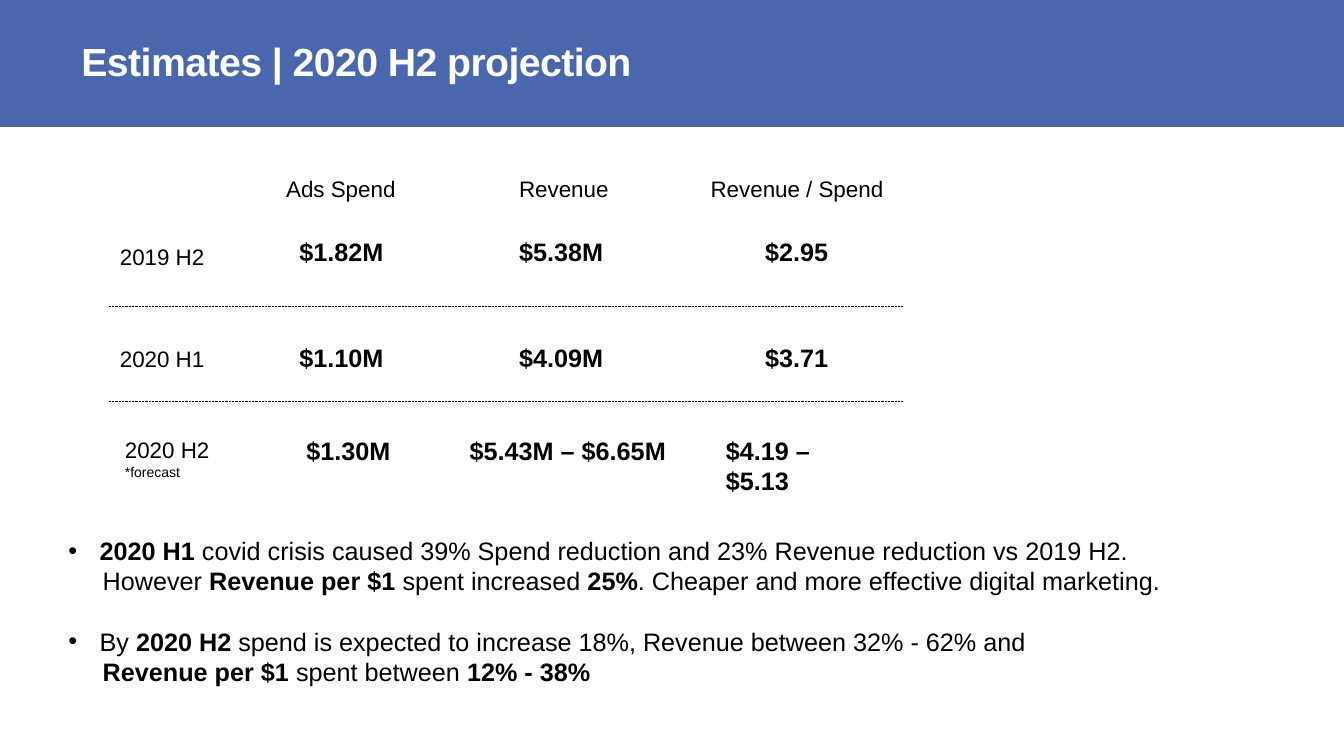
from lxml import etree
from pptx import Presentation, util as u
from pptx.dml.color import RGBColor
from pptx.enum import dml, shapes, text
from pptx.oxml.ns import qn

BLUE = RGBColor(0x4A, 0x66, 0xAC)
WHITE = RGBColor(0xFF, 0xFF, 0xFF)
BLACK = RGBColor(0x00, 0x00, 0x00)

# Table grid in inches: column lefts and widths, row tops
COLUMN_LEFTS = [1.09, 2.87, 5.05, 7.49]
COLUMN_WIDTHS = [1.22, 1.07, 1.07, 0.85]
FORECAST_LEFTS = [1.14, 2.94, 4.56, 7.1]
FORECAST_WIDTHS = [1.22, 1.07, 2.18, 1.72]
ROW_TOPS = [2.3, 3.35, 4.27]
LABEL_DROPS = [0.06, 0.02, 0.01]

presentation = Presentation()
presentation.slide_width = u.Inches(13.33)
presentation.slide_height = u.Inches(7.5)
slide = presentation.slides.add_slide(presentation.slide_layouts[6])


def add_text(left, top, width, height, content, size, bold=False, color=BLACK):
    box = slide.shapes.add_textbox(*map(u.Inches, (left, top, width, height)))
    frame = box.text_frame
    frame.word_wrap = True
    frame.text = content
    for paragraph in frame.paragraphs:
        format_runs(paragraph, size, bold, color)
    return frame


def format_runs(paragraph, size, bold, color=BLACK):
    for run in paragraph.runs:
        run.font.name = "Arial"
        run.font.size = u.Pt(size)
        run.font.bold = bold
        run.font.color.rgb = color


# Title band
band = slide.shapes.add_shape(
    shapes.MSO_SHAPE.RECTANGLE, 0, 0, presentation.slide_width, u.Inches(1.26))
band.shadow.inherit = False
band.fill.solid()
band.fill.fore_color.rgb = BLUE
band.line.fill.background()

title = add_text(0.71, 0.3, 11.54, 0.66, "Estimates | 2020 H2 projection", 28, True, WHITE)
title.vertical_anchor = text.MSO_ANCHOR.MIDDLE
title.paragraphs[0].line_spacing = 0.9
title.paragraphs[0].runs[0].font._element.set("spc", "-40")

# Column headings
for left, width, heading in [(2.74, 1.6, "Ads Spend"), (5.05, 1.33, "Revenue"),
                             (6.95, 2, "Revenue / Spend")]:
    add_text(left, 1.69, width, 0.37, heading, 16)

# Period rows
rows = [
    ["2019 H2", "$1.82M", "$5.38M", "$2.95"],
    ["2020 H1", "$1.10M", "$4.09M", "$3.71"],
    ["2020 H2\n*forecast", "$1.30M", "$5.43M – $6.65M", "$4.19 – $5.13"],
]
for row, top, drop in zip(rows, ROW_TOPS, LABEL_DROPS):
    is_forecast = row is rows[-1]
    lefts = FORECAST_LEFTS if is_forecast else COLUMN_LEFTS
    widths = FORECAST_WIDTHS if is_forecast else COLUMN_WIDTHS
    label = add_text(lefts[0], top + drop, widths[0], 0.37, row[0], 16)
    for note in label.paragraphs[1:]:
        format_runs(note, 10, False)
    for left, width, value in zip(lefts[1:], widths[1:], row[1:]):
        add_text(left, top, width, 0.4, value, 18, True)

# Dotted row dividers
for y in (3.04, 3.98):
    divider = slide.shapes.add_connector(
        shapes.MSO_CONNECTOR.STRAIGHT, *map(u.Inches, (1.08, y, 8.95, y)))
    divider.line.color.rgb = BLACK
    divider.line.width = u.Pt(0.5)
    divider.line.dash_style = dml.MSO_LINE.ROUND_DOT
    etree.SubElement(divider._element.spPr, qn("a:effectLst"))

# Commentary: (bulleted, [(text, bold), ...])
comments = [
    (True, [("2020 H1", True),
            (" covid crisis caused 39% Spend reduction and 23% Revenue reduction vs 2019 H2.", False)]),
    (False, [("However ", False), ("Revenue per $1 ", True), ("spent increased ", False),
             ("25%", True), (". Cheaper and more effective digital marketing.", False)]),
    (True, [("By ", False), ("2020 H2 ", True),
            ("spend is expected to increase 18%, Revenue between 32% - 62% and", False)]),
    (False, [("Revenue per $1 ", True), ("spent between ", False), ("12% - 38%", True)]),
]
frame = add_text(0.58, 5.26, 11.19, 1.62, "", 18)
for index, (bulleted, parts) in enumerate(comments):
    paragraph = frame.add_paragraph() if index else frame.paragraphs[0]
    for content, bold in parts:
        run = paragraph.add_run()
        run.text = content
        run.font.name = "Arial"
        run.font.size = u.Pt(18)
        run.font.bold = bold
        run.font.color.rgb = BLACK
    if bulleted and index:
        paragraph.space_before = u.Pt(21.6)
    properties = paragraph._element.get_or_add_pPr()
    properties.set("marL", str(u.Inches(0.31 if bulleted else 0.34)))
    if bulleted:
        properties.set("indent", str(u.Inches(-0.31)))
        etree.SubElement(properties, qn("a:buFont"), typeface="Arial")
        etree.SubElement(properties, qn("a:buChar"), char="•")

presentation.save("out.pptx")
